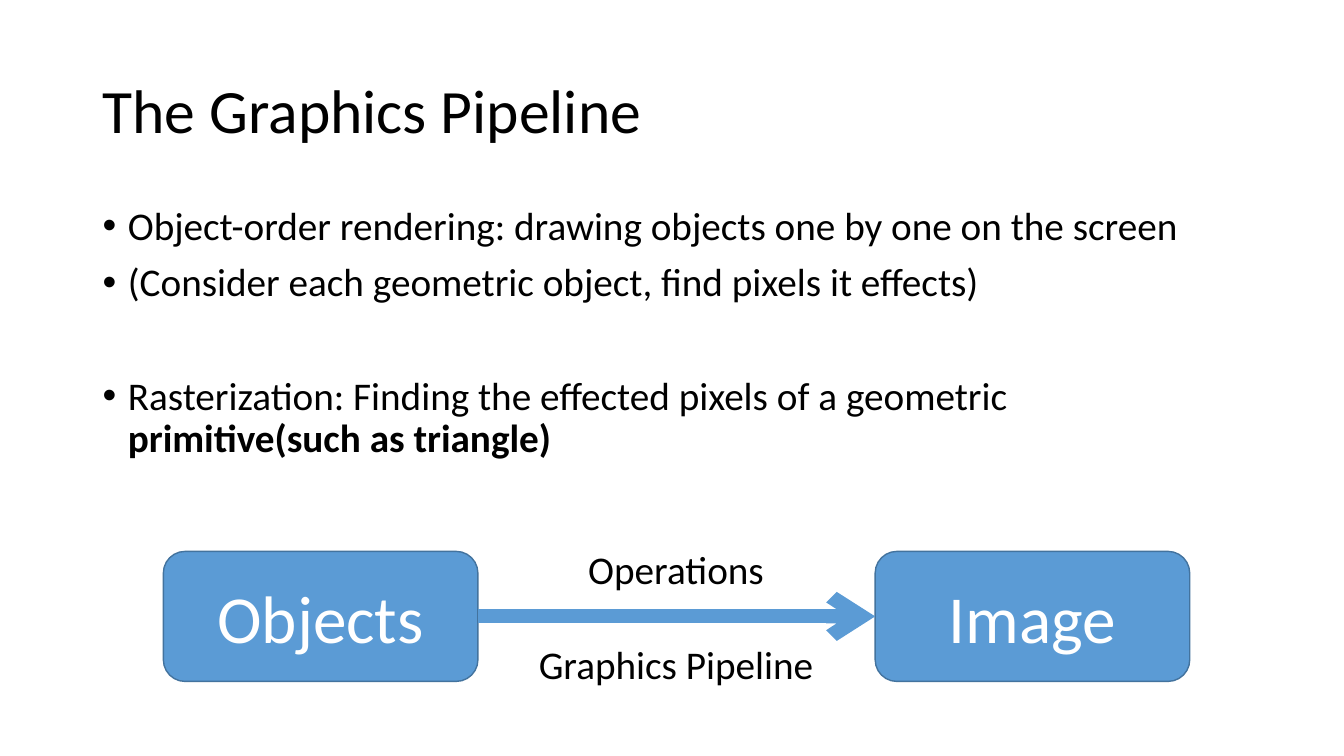
from lxml import etree
from pptx import Presentation
from pptx import util as u
from pptx.dml.color import RGBColor
from pptx.enum import shapes, text
from pptx.oxml.ns import qn

PX = 9144  # 100 px to the inch
FONT = "Calibri"
BLACK, WHITE, BLUE, EDGE = "000000", "FFFFFF", "5B9BD5", "43739E"
CENTER = text.PP_ALIGN.CENTER
MIDDLE = text.MSO_ANCHOR.MIDDLE


def px(*lengths):
    return [u.Emu(n * PX) for n in lengths]


def color(hex_string):
    return RGBColor.from_string(hex_string)


def style(p, size, hex_string, align=None, spacing=None, before=0):
    p.alignment = align
    p.line_spacing = spacing
    p.space_before = u.Pt(before)
    for r in p.runs:
        r.font.name = FONT
        r.font.size = u.Pt(size)
        r.font.color.rgb = color(hex_string)


def add_text(s, box, anchor=text.MSO_ANCHOR.TOP):
    tf = s.shapes.add_textbox(*px(*box)).text_frame
    tf.word_wrap = True
    tf.vertical_anchor = anchor
    return tf


def next_paragraph(tf, index):
    return tf.add_paragraph() if index else tf.paragraphs[0]


def add_bullets(s, box, items):
    """Each item is (space before, plain text, bold text)."""
    tf = add_text(s, box)
    for i, (before, plain, bold) in enumerate(items):
        p = next_paragraph(tf, i)
        pPr = p._p.get_or_add_pPr()
        pPr.set("marL", str(25 * PX))
        pPr.set("indent", str(-25 * PX))
        etree.SubElement(pPr, qn("a:buFont"), typeface="Arial")
        etree.SubElement(pPr, qn("a:buChar"), char="•")
        p.add_run().text = plain
        if bold:
            r = p.add_run()
            r.text = bold
            r.font.bold = True
        style(p, 28, BLACK, spacing=0.9, before=before)


def add_stage(s, left, label):
    sp = s.shapes.add_shape(shapes.MSO_SHAPE.ROUNDED_RECTANGLE,
                            *px(left, 547, 312, 129))
    sp.shadow.inherit = False
    sp.fill.solid()
    sp.fill.fore_color.rgb = color(BLUE)
    sp.line.color.rgb = color(EDGE)
    sp.line.width = u.Pt(1)
    tf = sp.text_frame
    tf.text = label
    tf.vertical_anchor = MIDDLE
    style(tf.paragraphs[0], 48, WHITE, CENTER)
    return sp


def add_arrow(s, start, end):
    c = s.shapes.add_connector(shapes.MSO_CONNECTOR.STRAIGHT, 0, 0, 0, 0)
    c.begin_connect(start, 3)  # right side
    c.end_connect(end, 1)  # left side
    c.line.color.rgb = color(BLUE)
    c.line.width = u.Pt(10)
    etree.SubElement(c.line._get_or_add_ln(), qn("a:tailEnd"), type="arrow")
    etree.SubElement(c._element.spPr, qn("a:effectLst"))


def main():
    prs = Presentation()
    prs.slide_width, prs.slide_height = px(1333, 750)
    s = prs.slides.add_slide(prs.slide_layouts[6])

    # Title
    tf = add_text(s, (92, 40, 1150, 145), MIDDLE)
    tf.text = "The Graphics Pipeline"
    style(tf.paragraphs[0], 44, BLACK, spacing=0.9)

    # Explanation
    add_bullets(s, (92, 200, 1150, 476), [
        (0, "Object-order rendering: drawing objects one by one on the screen", ""),
        (10, "(Consider each geometric object, find pixels it effects)", ""),
        (51, "Rasterization: Finding the effected pixels of a geometric ",
         "primitive(such as triangle)"),
    ])

    # Pipeline diagram
    objects = add_stage(s, 162, "Objects")
    image = add_stage(s, 868, "Image")
    add_arrow(s, objects, image)

    # Labels above and below the arrow
    tf = add_text(s, (419, 536, 503, 151))
    for i, label in enumerate(["Operations", "Graphics Pipeline"]):
        p = next_paragraph(tf, i)
        p.text = label
        style(p, 28, BLACK, CENTER, before=34 * i)

    prs.save("out.pptx")


if __name__ == "__main__":
    main()
